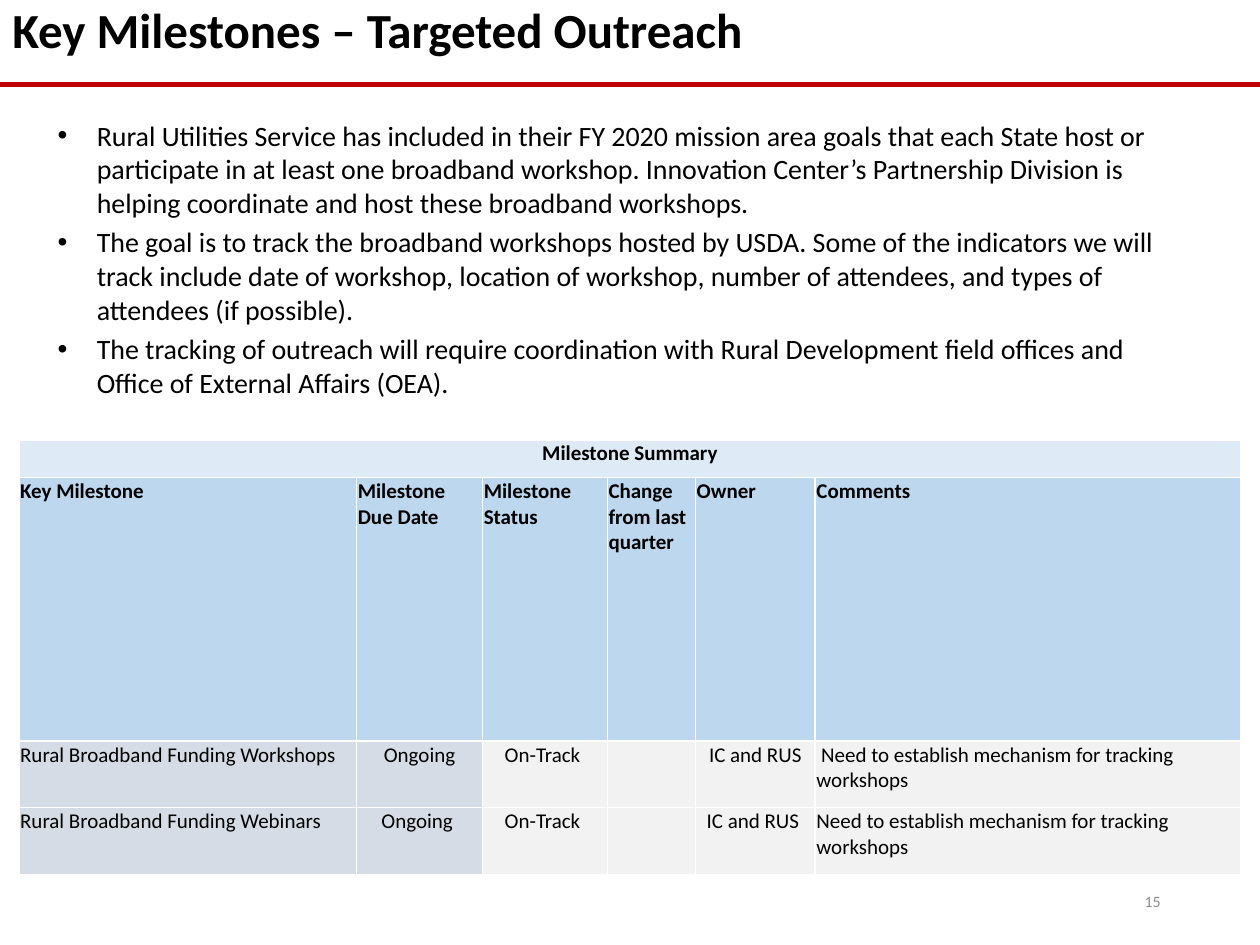
from lxml import etree
from pptx import Presentation
from pptx.dml.color import RGBColor
from pptx.enum.shapes import MSO_CONNECTOR
from pptx.enum.text import MSO_ANCHOR, PP_ALIGN
from pptx.oxml.ns import qn
from pptx.util import Inches, Pt

LEFT, CENTER, RIGHT = PP_ALIGN.LEFT, PP_ALIGN.CENTER, PP_ALIGN.RIGHT
MIDDLE = MSO_ANCHOR.MIDDLE
STRAIGHT = MSO_CONNECTOR.STRAIGHT
FONT = "Calibri"
COLORS = {
    "text": "000000",
    "number": "8C8C8C",
    "rule": "C00000",
    "border": "FFFFFF",
    "banner": "DEEBF7",
    "header": "BDD7EE",
    "milestone": "D6DCE5",
    "detail": "F2F2F2",
}
GOALS = [
    "Rural Utilities Service has included in their FY 2020 mission area goals that each State host or "
    "participate in at least one broadband workshop. Innovation Center’s Partnership Division is "
    "helping coordinate and host these broadband workshops.",
    "The goal is to track the broadband workshops hosted by USDA. Some of the indicators we will "
    "track include date of workshop, location of workshop, number of attendees, and types of "
    "attendees (if possible).",
    "The tracking of outreach will require coordination with Rural Development field offices and "
    "Office of External Affairs (OEA).",
]
COLUMN_WIDTHS = [2.68, 1, 0.99, 0.7, 0.95, 3.38]
ROW_HEIGHTS = [0.3, 2.09, 0.53, 0.53]
MILESTONES = [
    ["Milestone Summary", "", "", "", "", ""],
    ["Key Milestone", "Milestone Due Date", "Milestone Status", "Change from last quarter",
     "Owner", "Comments"],
    ["Rural Broadband Funding Workshops", "Ongoing", "On-Track ", "", "IC and RUS",
     " Need to establish mechanism for tracking workshops"],
    ["Rural Broadband Funding Webinars", "Ongoing ", "On-Track ", "", "IC and RUS ",
     "Need to establish mechanism for tracking workshops"],
]


def rgb(name):
    return RGBColor.from_string(COLORS[name])


def style(para, size, color="text", bold=False, align=LEFT):
    para.alignment = align
    para.font.name = FONT
    para.font.size = Pt(size)
    para.font.bold = bold
    para.font.color.rgb = rgb(color)


def add_text(page, left, top, width, height, lines):
    """Add a wrapping text box with one paragraph per line."""
    box = page.shapes.add_textbox(Inches(left), Inches(top), Inches(width), Inches(height))
    frame = box.text_frame
    frame.word_wrap = True
    frame.text = "\n".join(lines)
    return frame


def add_title(page, text):
    para = add_text(page, 0, 0, 10, 0.92, [text]).paragraphs[0]
    para.line_spacing = 0.9
    style(para, 28, bold=True)


def add_rule(page, top):
    rule = page.shapes.add_connector(STRAIGHT, 0, Inches(top), Inches(10), Inches(top))
    rule.line.color.rgb = rgb("rule")
    rule.line.width = Pt(3)
    etree.SubElement(rule._element.spPr, qn("a:effectLst"))


def add_bullets(page, lines):
    frame = add_text(page, 0.36, 0.89, 8.92, 2.34, lines)
    for index, para in enumerate(frame.paragraphs):
        props = para._p.get_or_add_pPr()
        props.set("marL", str(Inches(0.31)))
        props.set("indent", str(-Inches(0.31)))
        if index:
            para.space_before = Pt(3.4)
        etree.SubElement(props, qn("a:buFont"), typeface="Arial")
        etree.SubElement(props, qn("a:buChar"), char="•")
        style(para, 16)


def add_borders(cell):
    props = cell._tc.get_or_add_tcPr()
    for side in ("lnL", "lnR", "lnT", "lnB"):
        line = etree.SubElement(props, qn(f"a:{side}"), w=str(Pt(1)))
        fill = etree.SubElement(line, qn("a:solidFill"))
        etree.SubElement(fill, qn("a:srgbClr"), val=COLORS["border"])


def fill_name(row, column):
    if row < 2:
        return ("banner", "header")[row]
    return "milestone" if column < 2 else "detail"


def add_milestone_table(page):
    table = page.shapes.add_table(
        len(ROW_HEIGHTS), len(COLUMN_WIDTHS), Inches(0.15), Inches(3.49),
        Inches(sum(COLUMN_WIDTHS)), Inches(sum(ROW_HEIGHTS))).table
    for column, width in zip(table.columns, COLUMN_WIDTHS):
        column.width = Inches(width)
    for row, height in zip(table.rows, ROW_HEIGHTS):
        row.height = Inches(height)
    for r, texts in enumerate(MILESTONES):
        for c, text in enumerate(texts):
            cell = table.cell(r, c)
            add_borders(cell)
            cell.fill.solid()
            cell.fill.fore_color.rgb = rgb(fill_name(r, c))
            cell.margin_left = cell.margin_right = cell.margin_top = Inches(0.01)
            cell.margin_bottom = 0
            cell.text = text
            centered = r == 0 or (r > 1 and 0 < c < 5)
            style(cell.text_frame.paragraphs[0], 12, bold=r < 2,
                  align=CENTER if centered else LEFT)
    table.cell(0, 0).merge(table.cell(0, len(COLUMN_WIDTHS) - 1))


def add_page_number(page, number):
    frame = add_text(page, 7.06, 6.95, 2.25, 0.4, [number])
    frame.vertical_anchor = MIDDLE
    style(frame.paragraphs[0], 9, "number", align=RIGHT)


def main():
    deck = Presentation()
    deck.slide_width, deck.slide_height = Inches(10), Inches(7.5)
    page = deck.slides.add_slide(deck.slide_layouts[6])
    add_title(page, "Key Milestones – Targeted Outreach")
    add_page_number(page, "15")
    add_rule(page, 0.67)
    add_bullets(page, GOALS)
    add_milestone_table(page)
    deck.save("out.pptx")


if __name__ == "__main__":
    main()
